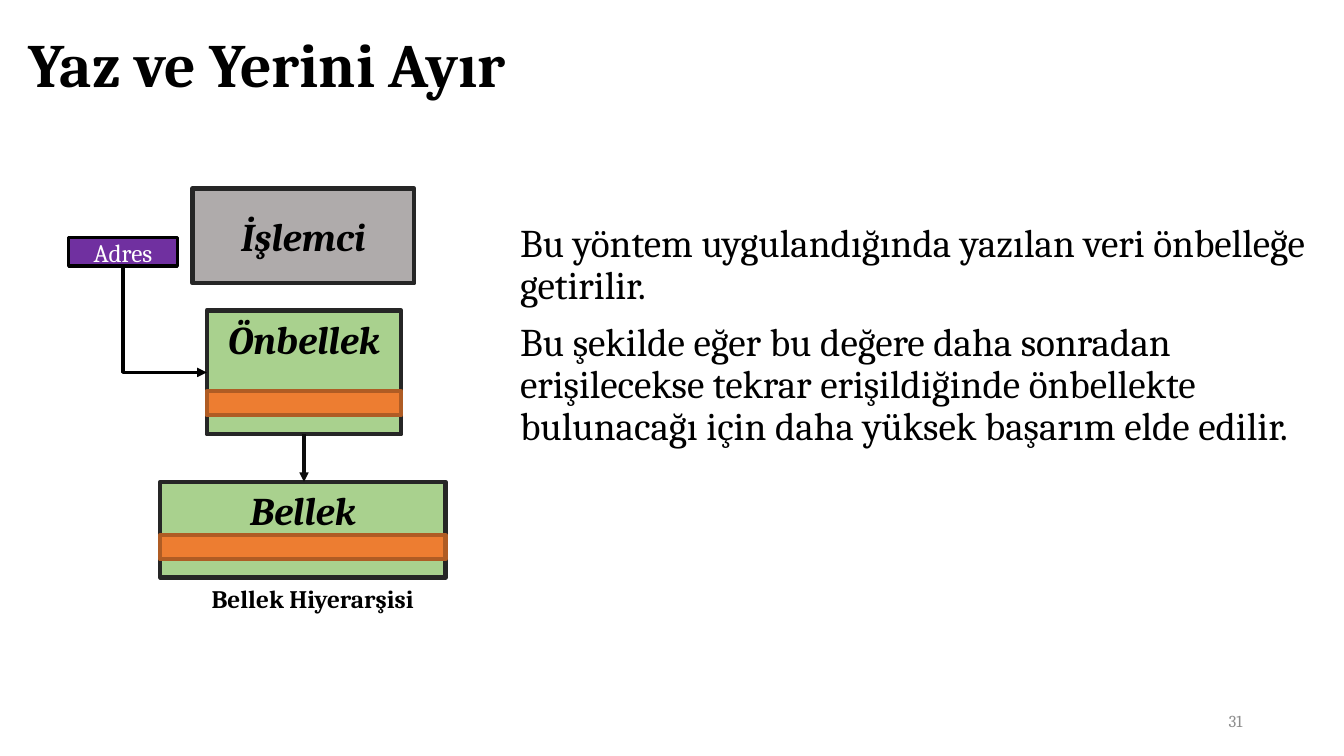
from lxml import etree
from pptx import Presentation
from pptx.dml.color import RGBColor
from pptx.enum.shapes import MSO_CONNECTOR, MSO_SHAPE
from pptx.enum.text import MSO_ANCHOR, PP_ALIGN
from pptx.oxml.ns import qn
from pptx.util import Inches, Pt

RECT = MSO_SHAPE.RECTANGLE
LINE, ELBOW = MSO_CONNECTOR.STRAIGHT, MSO_CONNECTOR.ELBOW
TOP, MID = MSO_ANCHOR.TOP, MSO_ANCHOR.MIDDLE
LEFT, MIDST, RIGHT = PP_ALIGN.LEFT, PP_ALIGN.CENTER, PP_ALIGN.RIGHT
FONT = "Cambria"
COLORS = {
    "black": "000000", "white": "FFFFFF", "edge": "262626", "gray": "AFABAB",
    "green": "A9D18E", "purple": "7030A0", "orange": "ED7D31",
    "rust": "AF5C24", "arrow": "0D0D0D", "page": "8C8C8C",
}


def color(name):
    return RGBColor.from_string(COLORS[name])


def write(shape, texts, size, tint="black", bold=False, italic=False,
          align=LEFT, anchor=TOP, space=None):
    """Fill a shape with one paragraph per text; space is the line spacing."""
    frame = shape.text_frame
    frame.word_wrap = True
    frame.vertical_anchor = anchor
    for i, text in enumerate(texts):
        para = frame.add_paragraph() if i else frame.paragraphs[0]
        para.alignment = align
        if space:
            para.line_spacing = space
        if i:
            para.space_before = Pt(10)
        run = para.add_run()
        run.text = text
        font = run.font
        font.name, font.size = FONT, Pt(size)
        font.bold, font.italic = bold, italic
        font.color.rgb = color(tint)


def label(slide, box, texts, size, **style):
    shape = slide.shapes.add_textbox(*map(Inches, box))
    write(shape, texts, size, **style)


def block(slide, box, fill, edge, width=3):
    shape = slide.shapes.add_shape(RECT, *map(Inches, box))
    shape.shadow.inherit = False
    shape.fill.solid()
    shape.fill.fore_color.rgb = color(fill)
    shape.line.color.rgb = color(edge)
    shape.line.width = Pt(width)
    return shape


def arrow(slide, kind, start, end, tint):
    link = slide.shapes.add_connector(kind, *map(Inches, start + end))
    link.line.color.rgb = color(tint)
    link.line.width = Pt(2.25)
    head = etree.SubElement(link.line._get_or_add_ln(), qn("a:tailEnd"))
    head.set("type", "triangle")
    etree.SubElement(link._element.spPr, qn("a:effectLst"))
    return link


def bend(slide, start, end, tint):
    """Arrow that goes down, then right, with a single corner."""
    (x1, y1), (x2, y2) = start, end
    mid_x, mid_y = (x1 + x2) / 2, (y1 + y2) / 2
    half_w, half_h = (y2 - y1) / 2, (x2 - x1) / 2
    link = arrow(slide, ELBOW, (mid_x + half_w, mid_y - half_h),
                 (mid_x - half_w, mid_y + half_h), tint)
    props = link._element.spPr
    props.find(qn("a:xfrm")).set("rot", str(270 * 60000))
    props.find(qn("a:prstGeom")).set("prst", "bentConnector2")


def diagram(slide, left, top):
    """Memory levels with the address entering the cache."""
    cpu = (left + 1.23, top, 2.2, 0.94)
    cache = (left + 1.37, top + 1.21, 1.93, 1.23)
    memory = (left + 0.91, top + 2.91, 2.83, 0.95)
    levels = [
        (cpu, "İşlemci", "gray", MID),
        (cache, "Önbellek", "green", TOP),
        (memory, "Bellek", "green", TOP),
    ]
    for box, name, fill, anchor in levels:
        write(block(slide, box, fill, "edge"), [name], 28, bold=True,
              italic=True, align=MIDST, anchor=anchor)
    label(slide, (left + 0.61, top + 3.87, 3.62, 0.4),
          ["Bellek Hiyerarşisi"], 18, bold=True, align=MIDST)

    x, y, wide, high = left, top + 0.49, 1.08, 0.28
    tag = block(slide, (x, y, wide, high), "purple", "black", 2.25)
    write(tag, ["Adres"], 18, tint="white", align=MIDST, anchor=MID)
    bend(slide, (x + wide / 2, y + high),
         (cache[0], cache[1] + cache[3] / 2), "black")

    mid = cache[0] + cache[2] / 2
    arrow(slide, LINE, (mid, cache[1] + cache[3]), (mid, memory[1]), "arrow")
    for (x, y, wide, high), drop in ((cache, 0.8), (memory, 0.53)):
        block(slide, (x, y + drop, wide, 0.24), "orange", "rust")


def main():
    deck = Presentation()
    deck.slide_width, deck.slide_height = Inches(13.33), Inches(7.5)
    slide = deck.slides.add_slide(deck.slide_layouts[6])
    label(slide, (0.18, 0.15, 12.86, 1.04), ["Yaz ve Yerini Ayır"], 44,
          bold=True, anchor=MID, space=0.9)
    label(slide, (5.06, 2.17, 7.98, 4.59), [
        "Bu yöntem uygulandığında yazılan veri önbelleğe getirilir.",
        "Bu şekilde eğer bu değere daha sonradan erişilecekse tekrar "
        "erişildiğinde önbellekte bulunacağı için daha yüksek başarım "
        "elde edilir.",
    ], 28, space=0.9)
    label(slide, (9.42, 6.95, 3, 0.4), ["31"], 12, tint="page",
          align=RIGHT, anchor=MID)
    diagram(slide, 0.68, 1.87)
    deck.save("out.pptx")


if __name__ == "__main__":
    main()
